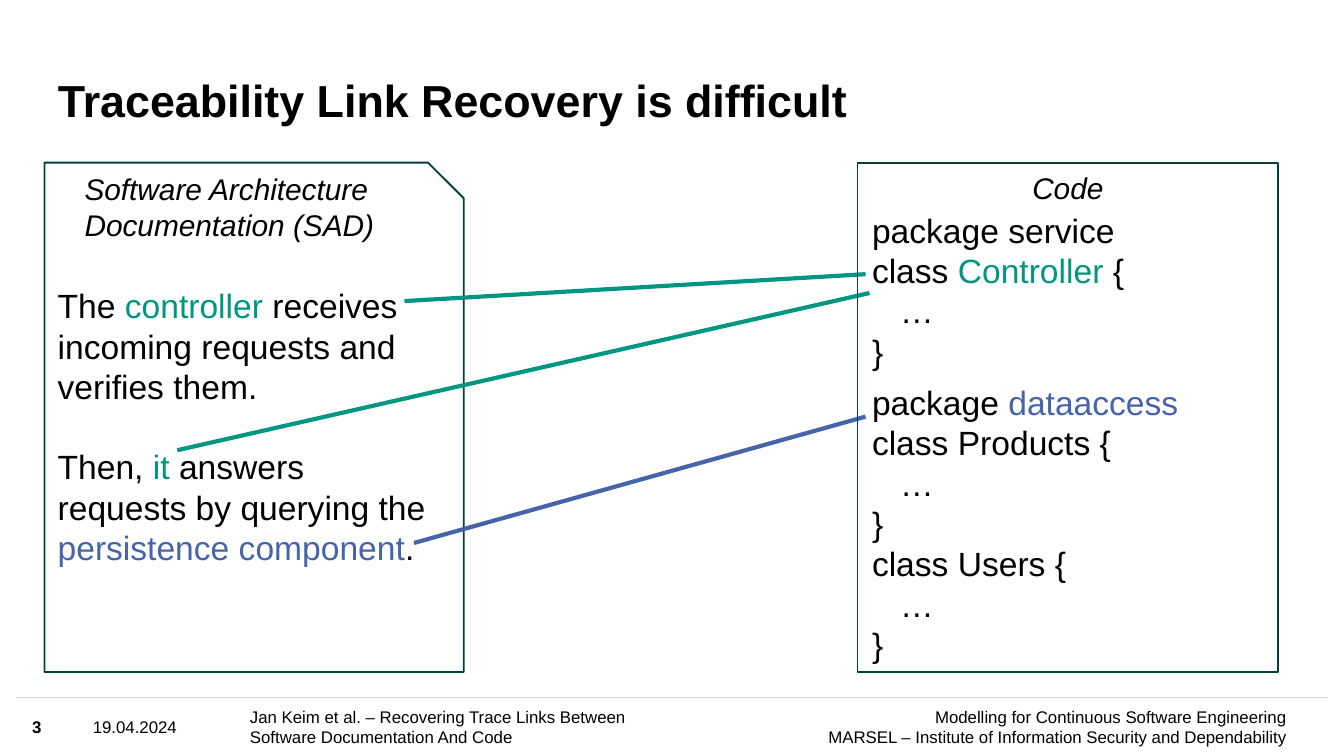
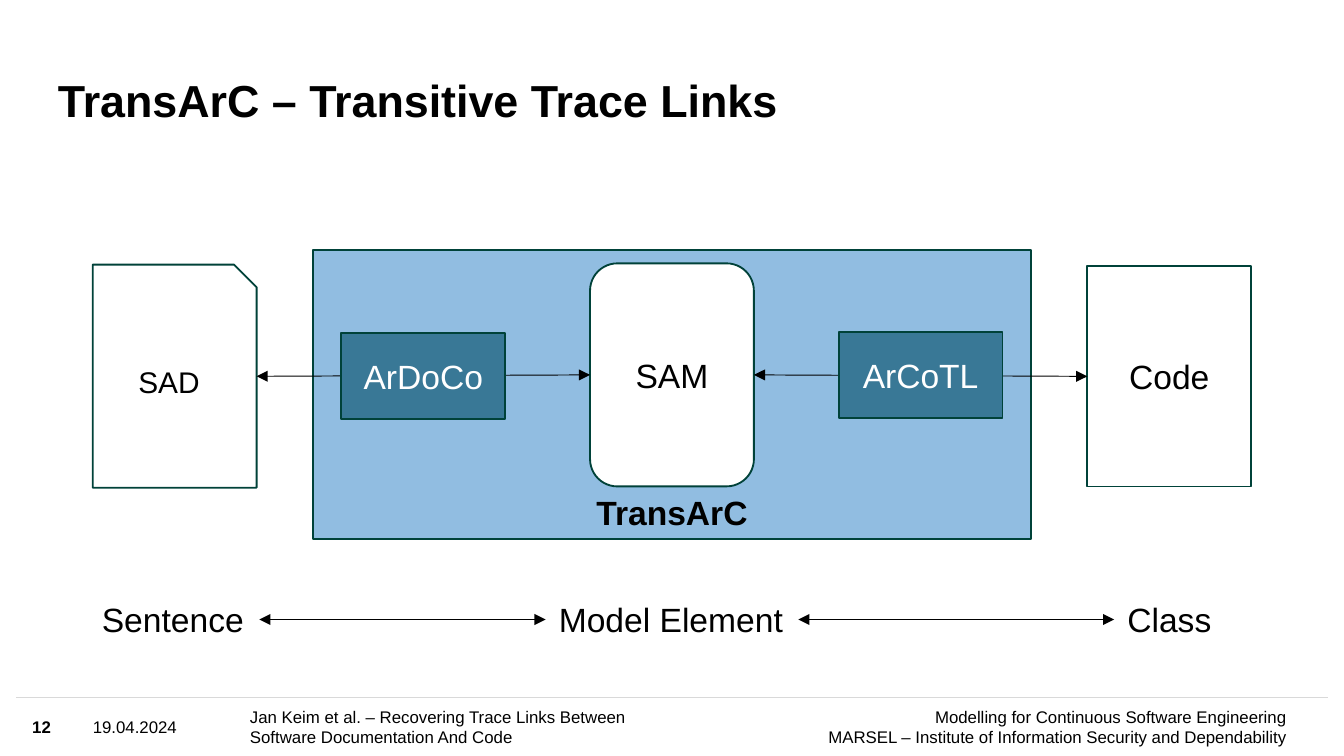
"""Build two slides on traceability link recovery and transitive trace links."""
from lxml.etree import SubElement
from pptx import Presentation
from pptx.dml.color import RGBColor
from pptx.enum.shapes import MSO_CONNECTOR, MSO_SHAPE as SHAPE
from pptx.enum.text import MSO_ANCHOR as ANCHOR, MSO_AUTO_SIZE, PP_ALIGN as ALIGN
from pptx.oxml.ns import qn
from pptx.util import Pt

FONT = "Arial"
BLACK, WHITE, GREY = "000000", "FFFFFF", "D9D9D9"
OUTLINE, TEAL, BLUE = "004239", "009682", "4664AA"
LIGHT_BLUE, STEEL = "91BDE1", "397896"
FOOTER_TOP, FOOTER_HEIGHT = 373.7, 31
rgb = RGBColor.from_string


def add_box(slide, place, text, size, kind=None, fill=None, color=BLACK, accents=(), align=ALIGN.LEFT,
            anchor=ANCHOR.TOP, bold=False, italic=False, wrap=True, inset=True):
    """Add a shape, or a text box without a kind; words between bars take the accents in turn."""
    place = [Pt(value) for value in place]
    if kind is None:
        shape = slide.shapes.add_textbox(*place)
    else:
        shape = slide.shapes.add_shape(kind, *place)
        shape.shadow.inherit = False
        shape.line.color.rgb = rgb(OUTLINE)
        shape.line.width = Pt(1)
        if fill:
            shape.fill.solid()
            shape.fill.fore_color.rgb = rgb(fill)
        else:
            shape.fill.background()
    frame = shape.text_frame
    frame.word_wrap = wrap
    frame.vertical_anchor = anchor
    if not inset:
        frame.margin_left = frame.margin_right = frame.margin_top = frame.margin_bottom = 0
    frame.text = text
    accents = iter(accents)
    for paragraph in frame.paragraphs:
        paragraph.alignment = align
        first, *others = paragraph.text.split("|")
        paragraph.text = first
        for part in others:
            paragraph.add_run().text = part
        for index, run in enumerate(paragraph.runs):
            run.font.name = FONT
            run.font.size = Pt(size)
            run.font.bold = bold
            run.font.italic = italic
            run.font.color.rgb = rgb(next(accents) if index % 2 else color)
    return shape


def add_line(slide, start, end, color, width, arrows=False):
    """Add a straight line, with a triangle at both ends if asked."""
    points = [Pt(value) for value in (*start, *end)]
    connector = slide.shapes.add_connector(MSO_CONNECTOR.STRAIGHT, *points)
    connector.line.color.rgb = rgb(color)
    connector.line.width = Pt(width)
    if arrows:
        for tag in ("a:headEnd", "a:tailEnd"):
            SubElement(connector.get_or_add_ln(), qn(tag)).set("type", "triangle")
    SubElement(connector._element.spPr, qn("a:effectLst"))
    return connector


presentation = Presentation()
presentation.slide_width, presentation.slide_height = Pt(720), Pt(405)

slides = []
for number, heading in (("3", "Traceability Link Recovery is difficult"),
                        ("12", "TransArC – Transitive Trace Links")):
    slide = presentation.slides.add_slide(presentation.slide_layouts[5])
    slides.append(slide)
    add_line(slide, (8.6, FOOTER_TOP), (711.4, FOOTER_TOP), GREY, 1)
    for left, width, text, align, bold in (
        (133.9, 290.2, "Jan Keim et al. – Recovering Trace Links Between\nSoftware Documentation And Code",
         ALIGN.LEFT, False),
        (433.4, 255.6, "Modelling for Continuous Software Engineering\n"
         "MARSEL – Institute of Information Security and Dependability", ALIGN.RIGHT, False),
        (49.7, 80.6, "19.04.2024", ALIGN.LEFT, False),
        (17.3, 25.9, number, ALIGN.LEFT, True),
    ):
        add_box(slide, (left, FOOTER_TOP, width, FOOTER_HEIGHT), text, 9, align=align,
                anchor=ANCHOR.MIDDLE, bold=bold, inset=False)

    title = slide.shapes.title
    title.left, title.top, title.width, title.height = Pt(31), Pt(23), Pt(540.7), Pt(45.4)
    frame = title.text_frame
    frame.text = heading
    frame.auto_size = MSO_AUTO_SIZE.NONE
    frame.vertical_anchor = ANCHOR.BOTTOM
    frame.margin_left = frame.margin_right = frame.margin_top = frame.margin_bottom = 0
    paragraph = frame.paragraphs[0]
    paragraph.alignment = ALIGN.LEFT
    paragraph.line_spacing = 0.9
    font = paragraph.runs[0].font
    font.name, font.size, font.bold = FONT, Pt(24), True
    font.color.rgb = rgb(BLACK)

difficulty, transitive = slides

documentation = add_box(
    difficulty, (23.8, 87.1, 224.6, 272.9),
    "The |controller |receives incoming requests and verifies them.\n"
    "Then, |it |answers requests by querying the |persistence component|.",
    18, SHAPE.SNIP_1_RECTANGLE, accents=(TEAL, TEAL, BLUE), anchor=ANCHOR.MIDDLE)
documentation.adjustments[0] = 0.085
documentation.text_frame.paragraphs[1].space_before = Pt(21.6)
add_box(difficulty, (38.2, 87.8, 171.4, 46.1), "Software Architecture\nDocumentation (SAD)", 16,
        italic=True, wrap=False)

for start, end, color in (((216.7, 161.3), (463.7, 146.9), TEAL),
                          ((95, 241.2), (465.8, 157), TEAL),
                          ((221.8, 290.9), (463.7, 223.2), BLUE)):
    add_line(difficulty, start, end, color, 2.25)

add_box(difficulty, (459.4, 87.1, 225.4, 272.9), "Code", 16, SHAPE.RECTANGLE, align=ALIGN.CENTER, italic=True)
listing = add_box(
    difficulty, (460.1, 108.7, 225.4, 252),
    "package service\nclass |Controller| {\n…\n}\npackage |dataaccess\nclass Products {\n…\n}\nclass Users {\n…\n}",
    18, accents=(TEAL, BLUE))
for paragraph in listing.text_frame.paragraphs:
    if paragraph.text == "…":
        properties = paragraph._p.get_or_add_pPr()
        properties.set("marL", str(Pt(15)))
        properties.set("indent", "0")
listing.text_frame.paragraphs[4].space_before = Pt(6)

add_box(transitive, (167.8, 133.9, 384.5, 154.8), "TransArC", 18, SHAPE.RECTANGLE, LIGHT_BLUE,
        align=ALIGN.CENTER, anchor=ANCHOR.BOTTOM, bold=True)
artifacts = []
for left, top, height, text, size, kind, fill in (
    (49.7, 141.8, 119.5, "SAD", 16, SHAPE.SNIP_1_RECTANGLE, None),
    (316.1, 141.1, 119.5, "SAM", 18, SHAPE.ROUNDED_RECTANGLE, WHITE),
    (582.5, 142.6, 118.1, "Code", 18, SHAPE.RECTANGLE, None),
):
    artifacts.append(add_box(transitive, (left, top, 87.8, height), text, size, kind, fill,
                             align=ALIGN.CENTER, anchor=ANCHOR.MIDDLE))
sad, sam, code = artifacts
sad.adjustments[0] = 0.138

sad_to_sam = add_line(transitive, (137.5, 201.6), (316.1, 200.9), BLACK, 0.5, arrows=True)
sad_to_sam.end_connect(sam, 1)
sam_to_code = add_line(transitive, (403.9, 200.9), (582.5, 201.6), BLACK, 0.5, arrows=True)
sam_to_code.begin_connect(sam, 3)
sam_to_code.end_connect(code, 1)

for left, top, text in ((182.9, 178.6, "ArDoCo"), (449.3, 177.8, "ArCoTL")):
    add_box(transitive, (left, top, 87.8, 46.1), text, 18, SHAPE.RECTANGLE, STEEL, WHITE,
            align=ALIGN.CENTER, anchor=ANCHOR.MIDDLE)

levels = [add_box(transitive, (left, 317.5, width, 28.8), text, 18, wrap=False)
          for left, width, text in ((47.5, 91.4, "Sentence"), (292.3, 135.4, "Model Element"), (596.9, 59.8, "Class"))]
for source, target in zip(levels, levels[1:]):
    arrow = add_line(transitive, (0, 0), (1, 1), BLACK, 0.5, arrows=True)
    arrow.begin_connect(source, 3)
    arrow.end_connect(target, 1)

presentation.save("out.pptx")
